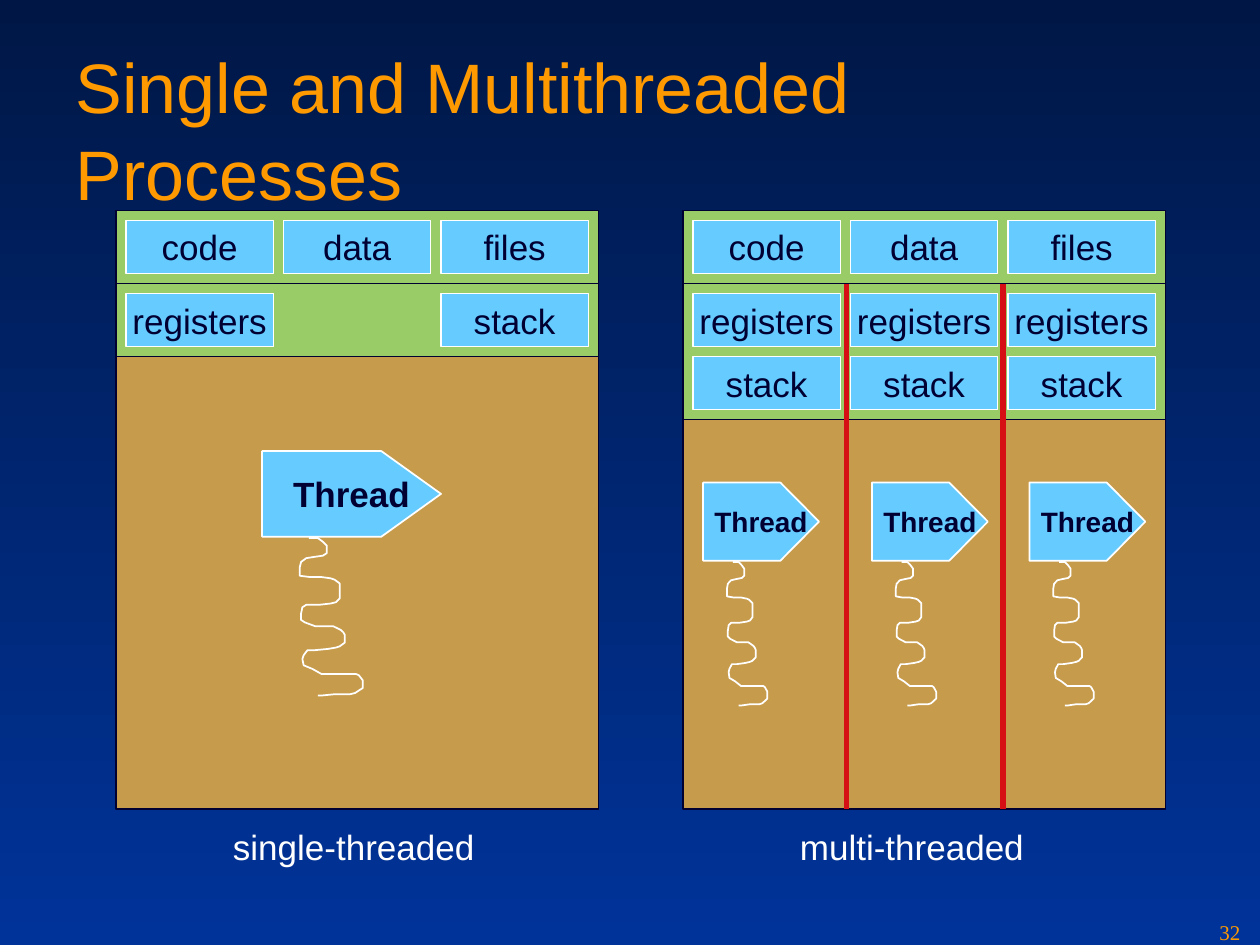
import pptx
import pptx.util
import pptx.dml.color
import pptx.enum.shapes
import pptx.enum.text
import pptx.oxml.ns
import lxml.etree

Inches = pptx.util.Inches
Pt = pptx.util.Pt
Align = pptx.enum.text.PP_ALIGN
Anchor = pptx.enum.text.MSO_ANCHOR
Fit = pptx.enum.text.MSO_AUTO_SIZE

NAVY, SKY, WHITE = "000033", "66CCFF", "FFFFFF"
GREEN, TAN, RED, ORANGE = "99CC66", "C79B4C", "D50F14", "FE9900"

COIL = [
    (7, 0), (14, 0), (18, 3), (21, 6), (21, 12), (18, 14), (11, 15), (5, 16),
    (1, 19), (0, 23), (0, 30), (8, 31), (17, 31), (24, 32), (27, 33), (31, 36),
    (31, 48), (28, 51), (24, 52), (15, 53), (5, 53), (2, 55), (1, 60), (1, 65),
    (4, 67), (12, 70), (26, 70), (32, 73), (34, 75), (35, 77), (35, 83), (31, 86),
    (28, 87), (22, 88), (12, 89), (6, 89), (3, 93), (2, 96), (3, 101), (10, 104),
    (17, 108), (36, 108), (44, 108), (46, 109), (49, 113), (49, 119), (43, 123),
    (39, 124), (27, 124), (17, 125), (14, 125),
]


def tint(code):
    return pptx.dml.color.RGBColor.from_string(code)


class Deck:
    def __init__(self):
        self.show = pptx.Presentation()
        self.show.slide_width = Inches(10)
        self.show.slide_height = Inches(7.5)
        self.slide = self.show.slides.add_slide(self.show.slide_layouts[5])
        self.face = "Arial"

    def ground(self, top, base):
        fill = self.slide.background.fill
        fill.gradient()
        fill.gradient_angle = 270
        for stop, code, place in zip(fill.gradient_stops, (top, base), (0, 1)):
            stop.color.rgb = tint(code)
            stop.position = place

    def letter(self, shape, text, code, frame=None, para=None, **font):
        body = shape.text_frame
        for key, value in (frame or {}).items():
            setattr(body, key, value)
        line = body.paragraphs[0]
        for key, value in (para or {}).items():
            setattr(line, key, value)
        run = line.add_run()
        run.text = text
        for key, value in {"name": self.face, **font}.items():
            setattr(run.font, key, value)
        run.font.color.rgb = tint(code)

    def center(self, shape, text, **font):
        frame = {"word_wrap": False, "vertical_anchor": Anchor.MIDDLE}
        self.letter(shape, text, NAVY, frame, {"alignment": Align.CENTER}, **font)

    def paint(self, shape, fill, edge, width):
        shape.shadow.inherit = False
        if fill:
            shape.fill.solid()
            shape.fill.fore_color.rgb = tint(fill)
        else:
            shape.fill.background()
        shape.line.color.rgb = tint(edge)
        shape.line.width = Pt(width)

    def title(self, text, *place):
        shape = self.slide.shapes.title
        for key, value in zip(("left", "top", "width", "height"), place):
            setattr(shape, key, Inches(value))
        frame = {"word_wrap": True, "auto_size": Fit.NONE,
                 "vertical_anchor": Anchor.TOP, "margin_top": Inches(0.08)}
        para = {"alignment": Align.LEFT, "line_spacing": 1.04}
        self.letter(shape, text, ORANGE, frame, para, size=Pt(40))

    def block(self, place, fill, edge):
        kind = pptx.enum.shapes.MSO_SHAPE.RECTANGLE
        shape = self.slide.shapes.add_shape(kind, *map(Inches, place))
        self.paint(shape, fill, edge, 0.75)
        return shape

    def cell(self, text, left, top):
        shape = self.block((left, top, 1.17, 0.42), SKY, WHITE)
        self.center(shape, text, size=Pt(20))

    def label(self, text, place, code, frame, **font):
        shape = self.slide.shapes.add_textbox(*map(Inches, place))
        self.letter(shape, text, code, frame, **font)

    def trace(self, group, points, fill, close):
        spots = [(Inches(x), Inches(y)) for x, y in points]
        pen = group.shapes.build_freeform(*spots[0], scale=1.0)
        pen.add_line_segments(spots[1:], close=close)
        shape = pen.convert_to_shape()
        self.paint(shape, fill, WHITE, 1)
        return shape

    def thread(self, left, top, width, height, coil, size):
        group = self.slide.shapes.add_group_shape()
        neck, right = left + width * 2 / 3, left + width
        base = top + height
        tag = [(left, top), (neck, top), (right, top + height / 2),
               (neck, base), (left, base)]
        shape = self.trace(group, tag, SKY, True)
        self.center(shape, "Thread", size=Pt(size), bold=True)
        shift, wide, high = coil
        points = [(left + shift + x / 49 * wide, base + 0.01 + y / 125 * high)
                  for x, y in COIL]
        self.trace(group, points, None, False)

    def split(self, x, top, base):
        kind = pptx.enum.shapes.MSO_CONNECTOR.STRAIGHT
        line = self.slide.shapes.add_connector(kind, *map(Inches, (x, top, x, base)))
        line.line.color.rgb = tint(RED)
        line.line.width = Pt(3)
        props = line._element.spPr
        lxml.etree.SubElement(props, pptx.oxml.ns.qn("a:effectLst"))

    def process(self, left, rows, floor, name, width):
        bands = [(1.67, 2.25, GREEN), (2.25, floor, GREEN), (floor, 6.42, TAN)]
        for top, base, fill in bands:
            self.block((left, top, 3.83, base - top), fill, NAVY)
        for top, row in zip((1.75, 2.33, 2.83), rows):
            for col, text in enumerate(row):
                if text:
                    self.cell(text, left + 0.08 + 1.25 * col, top)
        frame = {"word_wrap": False, "auto_size": Fit.SHAPE_TO_FIT_TEXT}
        self.label(name, (left + 0.83, 6.5, width, 0.44), WHITE, frame, size=Pt(20))


def main():
    deck = Deck()
    deck.ground("001746", "003399")
    deck.title("Single and Multithreaded Processes", 0.5, 0.24, 9, 1.25)
    shared = ("code", "data", "files")
    deck.process(0.92, [shared, ("registers", None, "stack")],
                 2.83, "single-threaded", 2.12)
    deck.thread(2.08, 3.58, 1.42, 0.68, (0.3, 0.5, 1.25), 20)
    deck.process(5.42, [shared, ("registers",) * 3, ("stack",) * 3],
                 3.33, "multi-threaded", 1.98)
    for left in (5.58, 6.92, 8.17):
        deck.thread(left, 3.83, 0.92, 0.62, (0.19, 0.32, 1.14), 16)
    for x in (6.72, 7.96):
        deck.split(x, 2.25, 6.42)
    deck.label("32", (9.58, 7.25, 0.42, 0.25), ORANGE, {"word_wrap": True},
               size=Pt(12), name="Times New Roman")
    deck.show.save("out.pptx")


if __name__ == "__main__":
    main()
